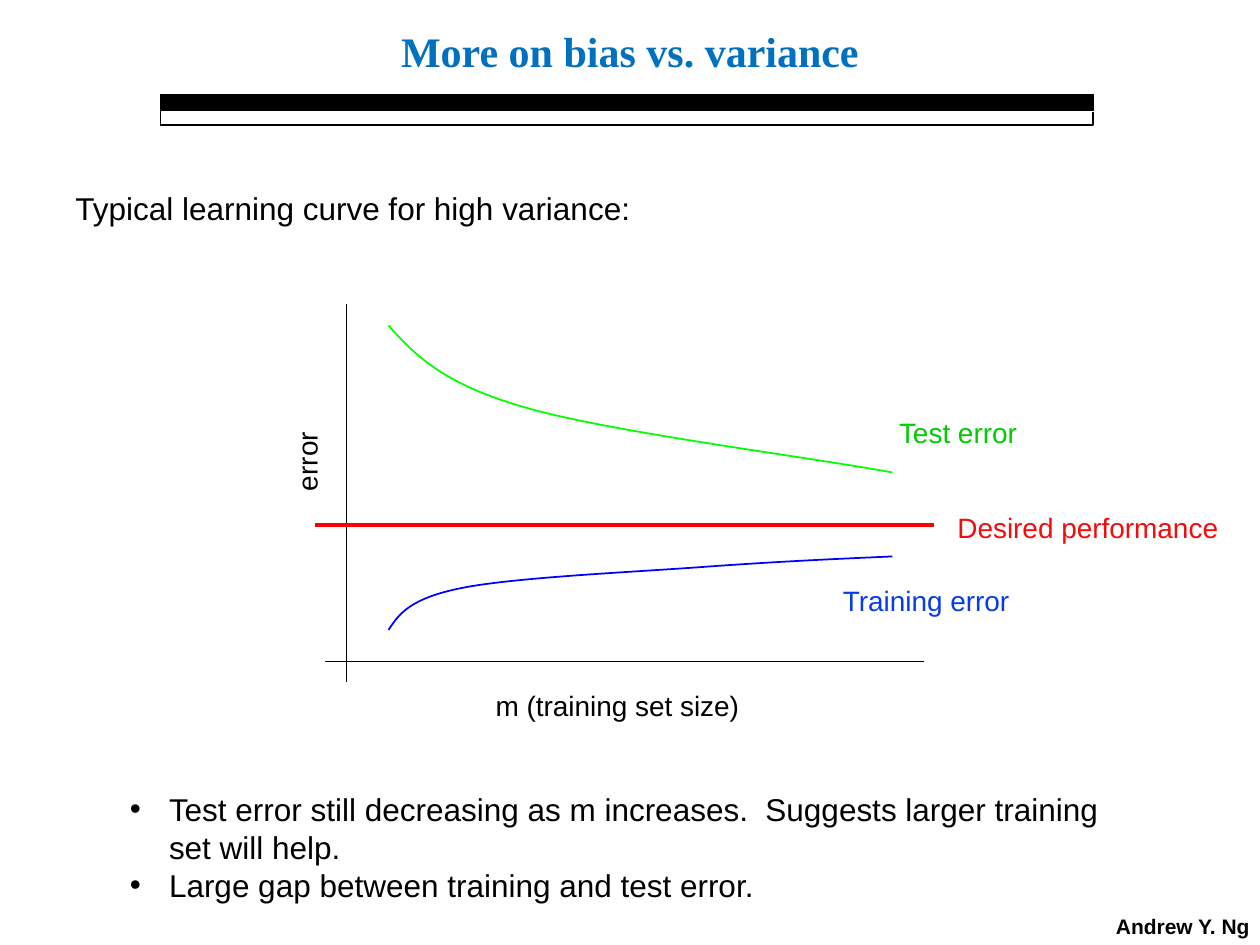
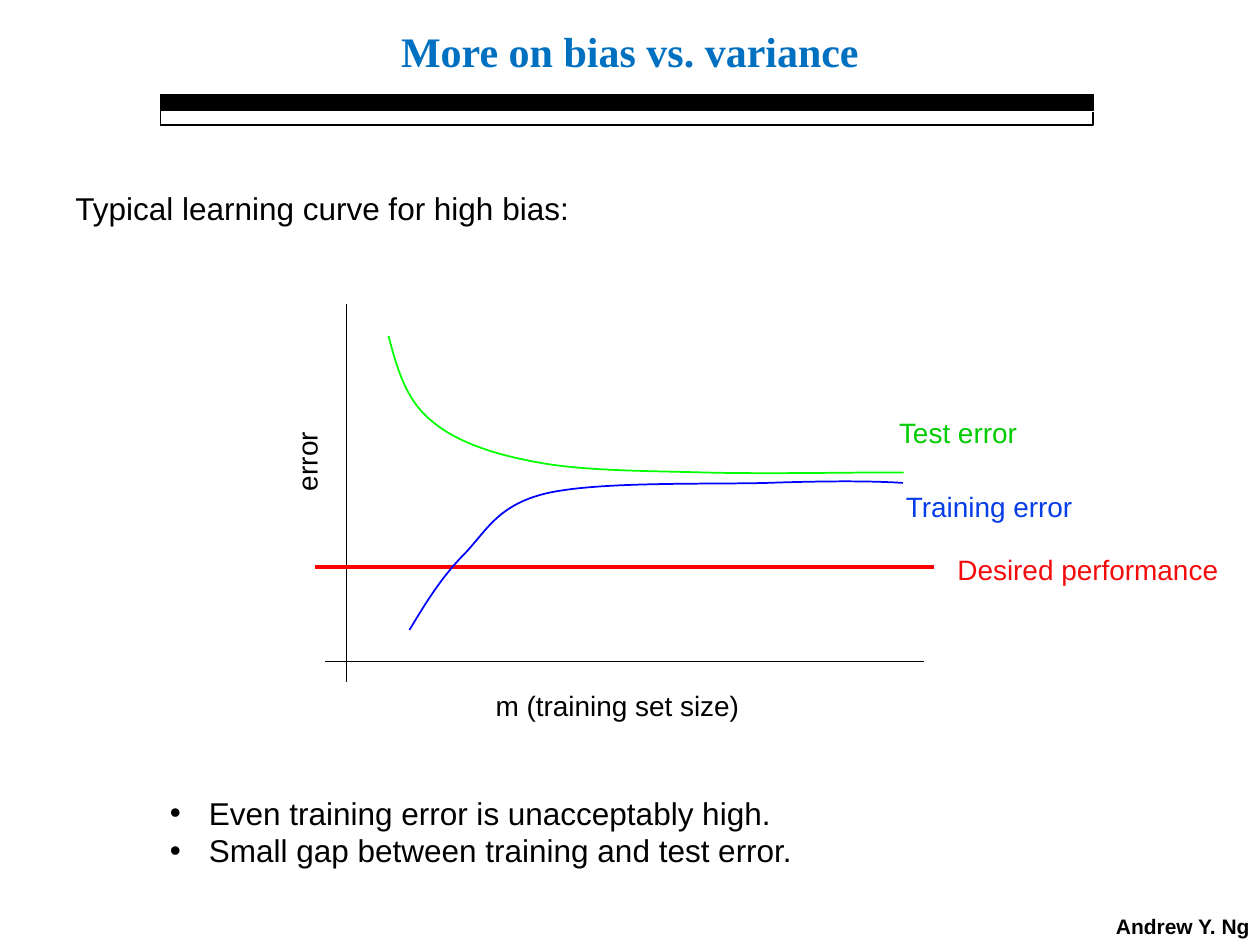
from lxml.etree import SubElement
from pptx import Presentation
from pptx.dml.color import RGBColor
from pptx.enum.shapes import MSO_CONNECTOR, MSO_SHAPE
from pptx.enum.text import MSO_ANCHOR, PP_ALIGN
from pptx.oxml.ns import qn
from pptx.util import Inches, Pt

# The slide is a grid of 120 columns by 90 rows, 12 cells to the inch
CELLS_PER_INCH = 12
BLACK, TITLE_BLUE = "000000", "0070C0"
TEST_LINE, TEST_TEXT = "00FF00", "00CC00"
TRAIN_LINE, TRAIN_TEXT = "0000FF", "063DE8"
GOAL_LINE, GOAL_TEXT = "FF0000", "F40C0C"
LABEL_H = 4.3

# Boxes: left, top, width, height in cells
TITLE_BOX = (18, 2.8, 84, 4)
BAND_BOX = (15.3, 9, 88.8, 3)
HEADING_BOX = (6, 17.4, 108, 5)
PLOT_BOX = (30, 29, 59, 36)
FOOTER_BOX = (105.1, 86.4, 16, 3.6)


def cells(n):
    return Inches(n / CELLS_PER_INCH)


def rgb(color):
    return RGBColor.from_string(color)


def style_line(shape, color, width):
    shape.line.color.rgb = rgb(color)
    shape.line.width = Pt(width)


def add_text(s, box, lines, size, color=BLACK, font="Arial", bold=False,
             align=PP_ALIGN.LEFT, anchor=MSO_ANCHOR.TOP, wrap=True):
    tb = s.shapes.add_textbox(*map(cells, box))
    tf = tb.text_frame
    tf.word_wrap = wrap
    tf.vertical_anchor = anchor
    tf.text = "\n".join(lines)
    for p in tf.paragraphs:
        p.alignment = align
        for r in p.runs:
            r.font.name, r.font.size, r.font.bold = font, Pt(size), bold
            r.font.color.rgb = rgb(color)
    return tb


def add_line(s, x1, y1, x2, y2, color=BLACK, width=1):
    line = s.shapes.add_connector(MSO_CONNECTOR.STRAIGHT,
                                  *map(cells, (x1, y1, x2, y2)))
    style_line(line, color, width)
    SubElement(line._element.spPr, qn("a:effectLst"))


def add_outline(s, points, color, width=1):
    pts = [(cells(x), cells(y)) for x, y in points]
    fb = s.shapes.build_freeform(*pts[0])
    fb.add_line_segments(pts[1:], close=False)
    shape = fb.convert_to_shape()
    shape.fill.background()
    shape.shadow.inherit = False
    style_line(shape, color, width)
    return shape


def add_curve(s, knots, color):
    """Joined cubic curves: a start, then two handles and an end for each."""
    shape = add_outline(s, knots, color)
    segments = list(shape._element.iter(qn("a:lnTo")))
    outline = segments[0].getparent()
    for i in range(0, len(segments), 3):
        curve = SubElement(outline, qn("a:cubicBezTo"))
        for segment in segments[i:i + 3]:
            curve.append(segment[0])
            outline.remove(segment)


def add_band(s, box):
    x, y, w, h = box
    # Thin frame under the bar
    add_outline(s, [(x + w, y + 1.7), (x + w, y + 2.9), (x, y + 2.9)], BLACK)
    bar = s.shapes.add_shape(MSO_SHAPE.RECTANGLE, *map(cells, (x, y, w, h * 0.5)))
    bar.shadow.inherit = False
    bar.fill.solid()
    bar.fill.fore_color.rgb = rgb(BLACK)
    style_line(bar, BLACK, 0.5)
    add_line(s, x, y + h, x, y + 1)


def add_plot(s, box, test, training, training_label, goal_row):
    x, y, w, h = box

    def label(text, col, row, width, color=BLACK):
        return add_text(s, (x + col, y + row, width, LABEL_H), [text], 16, color,
                        align=PP_ALIGN.CENTER, wrap=False)

    # Axes and their names
    add_line(s, x + 3, y, x + 3, y + h)
    add_line(s, x + w - 1, y + h - 2, x + 1, y + h - 2)
    label("m (training set size)", 16, h, 25.6)
    label("error", -4.85, 12.8, 8).rotation = 270

    # Desired level
    add_line(s, x, y + goal_row, x + w, y + goal_row, GOAL_LINE, 2)
    label("Desired performance", w + 1, goal_row - 2, 27.2, GOAL_TEXT)

    # Error curves
    for knots, color in ((test, TEST_LINE), (training, TRAIN_LINE)):
        add_curve(s, [(x + col, y + row) for col, row in knots], color)
    label("Test error", 54.3, 10, 13.9, TEST_TEXT)
    label("Training error", *training_label, 18.4, TRAIN_TEXT)


def add_bullets(s, box, lines):
    tb = add_text(s, box, lines, 18)
    for p in tb.text_frame.paragraphs:
        pPr = p._p.get_or_add_pPr()
        pPr.set("marL", str(Inches(0.31)))
        pPr.set("indent", str(-Inches(0.31)))
        SubElement(pPr, qn("a:buFont"), typeface="Arial")
        SubElement(pPr, qn("a:buChar"), char="•")


def add_curve_slide(prs, heading, plot, bullet_box, bullets):
    s = prs.slides.add_slide(prs.slide_layouts[6])
    add_band(s, BAND_BOX)
    add_text(s, FOOTER_BOX, ["Andrew Y. Ng"], 12, bold=True, wrap=False)
    add_text(s, TITLE_BOX, ["More on bias vs. variance"], 24, TITLE_BLUE,
             "Times New Roman", True, PP_ALIGN.CENTER, MSO_ANCHOR.MIDDLE)
    add_text(s, HEADING_BOX, [heading], 18)
    add_plot(s, PLOT_BOX, **plot)
    add_bullets(s, bullet_box, bullets)


# Curve knots in cells from the plot's top left corner
HIGH_VARIANCE = dict(
    test=[(7, 2), (9.5, 4.75), (12, 7.5), (20, 9.8),
          (28, 12.15), (47.25, 14.55), (55, 16)],
    training=[(7, 31), (8, 29.5), (9, 28), (14, 27), (19, 26), (30.15, 25.5),
              (37, 25), (43.85, 24.5), (49.4, 24.25), (55, 24)],
    training_label=(49, 26),
    goal_row=21,
)
HIGH_BIAS = dict(
    test=[(7, 3), (7.8, 6), (8.6, 9), (11, 11), (13.3, 13), (16.7, 14.2), (21, 15),
          (25.3, 15.85), (31.5, 15.85), (37, 16), (42.5, 16.15), (51, 16), (54, 16),
          (57, 16), (56, 16), (55, 16)],
    training=[(9, 31), (10.45, 28.6), (11.9, 26.2), (14, 24), (16.2, 21.85),
              (17.2, 19.15), (22, 18), (26.9, 16.85), (37.3, 17.15), (43, 17),
              (48.7, 16.8), (53, 16.8), (56, 17)],
    training_label=(55, 17),
    goal_row=25,
)


def main():
    prs = Presentation()
    prs.slide_width, prs.slide_height = cells(120), cells(90)
    add_curve_slide(
        prs, "Typical learning curve for high variance:", HIGH_VARIANCE,
        (11.2, 74.65, 95, 12),
        ["Test error still decreasing as m increases.  Suggests larger training set will help.",
         "Large gap between training and test error."])
    add_curve_slide(
        prs, "Typical learning curve for high bias:", HIGH_BIAS,
        (15, 75, 90, 8.4),
        ["Even training error is unacceptably high.",
         "Small gap between training and test error."])
    prs.save("out.pptx")


if __name__ == "__main__":
    main()
